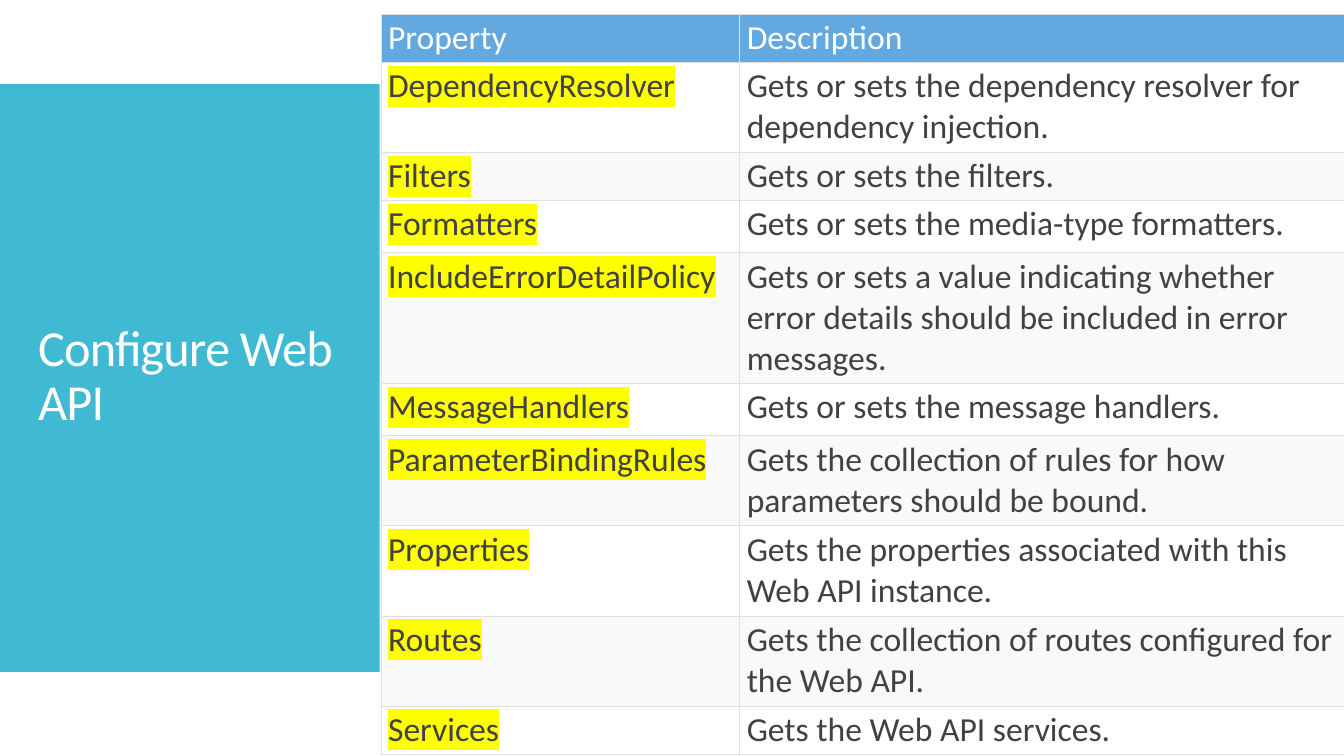
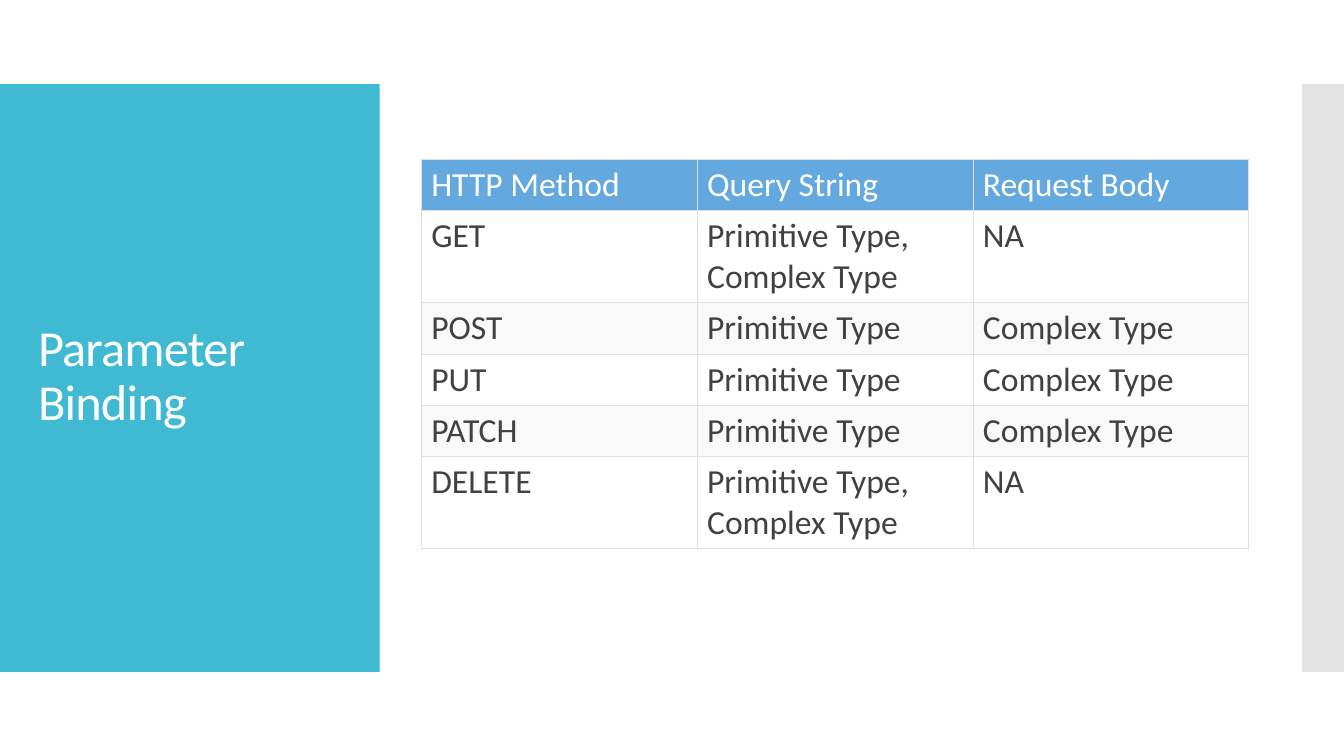
from dataclasses import dataclass

from lxml import etree
from pptx import Presentation
from pptx.dml.color import RGBColor
from pptx.enum import shapes, text
from pptx.oxml import ns
from pptx.util import Cm, Pt


@dataclass(frozen=True)
class Theme:
    """Colours and type sizes shared by the slides."""
    font: str = "Calibri"
    title_size: int = 36
    table_size: int = 24
    title_spacing: int = -60
    accent: str = "40BAD2"
    edge: str = "C8C8C8"
    edge_opacity: int = 50
    header: str = "63A9E0"
    light: str = "FFFFFF"
    dark: str = "414141"
    row_fills: tuple = ("FFFFFF", "F9F9F9")
    border: str = "DFDFDF"
    border_width: float = 0.6
    highlight: str = "FFFF00"


THEME = Theme()
SLIDE_WIDTH, SLIDE_HEIGHT = 33.87, 19.05
BAND_TOP, BAND_HEIGHT = 2.12, 14.81
PANEL_WIDTH, EDGE_WIDTH = 9.57, 1.06

PROPERTIES = [
    ("Property", "Description"),
    ("DependencyResolver", "Gets or sets the dependency resolver for dependency injection."),
    ("Filters", "Gets or sets the filters."),
    ("Formatters", "Gets or sets the media-type formatters."),
    ("IncludeErrorDetailPolicy",
     "Gets or sets a value indicating whether error details should be included in error messages."),
    ("MessageHandlers", "Gets or sets the message handlers."),
    ("ParameterBindingRules", "Gets the collection of rules for how parameters should be bound."),
    ("Properties", "Gets the properties associated with this Web API instance."),
    ("Routes", "Gets the collection of routes configured for the Web API."),
    ("Services", "Gets the Web API services."),
]
PROPERTY_HEIGHTS = [1.21, 2.27, 1.21, 1.32, 3.29, 1.32, 2.27, 2.27, 2.27, 1.21]

BINDINGS = [
    ("HTTP Method", "Query String", "Request Body"),
    ("GET", "Primitive Type,\nComplex Type", "NA"),
    ("POST", "Primitive Type", "Complex Type"),
    ("PUT", "Primitive Type", "Complex Type"),
    ("PATCH", "Primitive Type", "Complex Type"),
    ("DELETE", "Primitive Type,\nComplex Type", "NA"),
]
BINDING_HEIGHTS = [1.29, 2.33, 1.29, 1.29, 1.29, 2.33]


def apply_format(target, values):
    """Set each named attribute on the target."""
    for name, value in values.items():
        setattr(target, name, value)


def add_xml(parent, tag, **attributes):
    """Append a child element with the given attributes."""
    return etree.SubElement(parent, ns.qn(tag), attributes)


def paint(fill, color):
    """Make a fill solid in the given colour."""
    fill.solid()
    fill.fore_color.rgb = RGBColor.from_string(color)


def format_runs(paragraph, size, color):
    """Give every run of a paragraph the shared font."""
    for run in paragraph.runs:
        apply_format(run.font, {"name": THEME.font, "size": Pt(size), "bold": False})
        run.font.color.rgb = RGBColor.from_string(color)


def add_band(slide, left, width, color, opacity=100):
    """Draw one vertical band of the slide frame."""
    shape = slide.shapes.add_shape(
        shapes.MSO_SHAPE.RECTANGLE, Cm(left), Cm(BAND_TOP), Cm(width), Cm(BAND_HEIGHT))
    shape.shadow.inherit = False
    shape.line.fill.background()
    paint(shape.fill, color)
    if opacity < 100:
        color_element = shape._element.spPr.find(".//" + ns.qn("a:srgbClr"))
        add_xml(color_element, "a:alpha", val=str(opacity * 1000))


def add_title(slide, title):
    """Write the title in the left panel."""
    frame = slide.shapes.add_textbox(Cm(0.71), Cm(3.12), Cm(8.18), Cm(12.78)).text_frame
    apply_format(frame, {"word_wrap": True, "vertical_anchor": text.MSO_ANCHOR.MIDDLE})
    paragraph = frame.paragraphs[0]
    apply_format(paragraph, {"text": title, "line_spacing": 0.9})
    format_runs(paragraph, THEME.title_size, THEME.light)
    for run in paragraph.runs:
        run._r.get_or_add_rPr().set("spc", str(THEME.title_spacing))


def highlight_runs(paragraph):
    """Mark the runs of a paragraph with the highlight colour."""
    for run in paragraph.runs:
        highlight = etree.Element(ns.qn("a:highlight"))
        add_xml(highlight, "a:srgbClr", val=THEME.highlight)
        run._r.rPr.find(ns.qn("a:solidFill")).addnext(highlight)


def add_borders(cell):
    """Line all four sides of a table cell."""
    properties = cell._tc.get_or_add_tcPr()
    for side in ("L", "R", "T", "B"):
        line = add_xml(properties, f"a:ln{side}", w=str(Pt(THEME.border_width)))
        add_xml(add_xml(line, "a:solidFill"), "a:srgbClr", val=THEME.border)


def fill_cell(cell, content, row_index, margins):
    """Write and format one table cell."""
    is_header = row_index == 0
    add_borders(cell)
    paint(cell.fill, THEME.header if is_header else THEME.row_fills[(row_index - 1) % 2])
    anchor = text.MSO_ANCHOR.BOTTOM if is_header else text.MSO_ANCHOR.TOP
    horizontal, vertical = (Cm(margin) for margin in margins)
    apply_format(cell, {
        "vertical_anchor": anchor,
        "margin_left": horizontal, "margin_right": horizontal,
        "margin_top": vertical, "margin_bottom": vertical})
    paragraph = cell.text_frame.paragraphs[0]
    paragraph.text = content
    format_runs(paragraph, THEME.table_size, THEME.light if is_header else THEME.dark)
    return paragraph


def add_grid(slide, position, widths, heights, rows, margins, highlight_names=False):
    """Add a table with a header row and alternating body rows."""
    left, top = position
    table = slide.shapes.add_table(
        len(rows), len(widths), Cm(left), Cm(top), Cm(sum(widths)), Cm(sum(heights))).table
    table.horz_banding = False
    for column, width in zip(table.columns, widths):
        column.width = Cm(width)
    for row_index, (row, height, contents) in enumerate(zip(table.rows, heights, rows)):
        row.height = Cm(height)
        for column_index, content in enumerate(contents):
            paragraph = fill_cell(row.cells[column_index], content, row_index, margins)
            if highlight_names and row_index > 0 and column_index == 0:
                highlight_runs(paragraph)


def add_framed_slide(presentation, title):
    """Add a blank slide with the shared bands and a title."""
    slide = presentation.slides.add_slide(presentation.slide_layouts[6])
    add_band(slide, 0, PANEL_WIDTH, THEME.accent)
    add_band(slide, SLIDE_WIDTH - EDGE_WIDTH, EDGE_WIDTH, THEME.edge, THEME.edge_opacity)
    add_title(slide, title)
    return slide


def main():
    """Build and save the presentation."""
    presentation = Presentation()
    apply_format(presentation, {
        "slide_width": Cm(SLIDE_WIDTH), "slide_height": Cm(SLIDE_HEIGHT)})
    slide = add_framed_slide(presentation, "Configure Web API")
    add_grid(slide, (9.6, 0.36), [9.04, 15.23], PROPERTY_HEIGHTS, PROPERTIES,
             (0.18, 0.09), highlight_names=True)
    slide = add_framed_slide(presentation, "Parameter Binding")
    add_grid(slide, (10.62, 4.01), [6.95] * 3, BINDING_HEIGHTS, BINDINGS, (0.25, 0.13))
    presentation.save("out.pptx")


if __name__ == "__main__":
    main()
